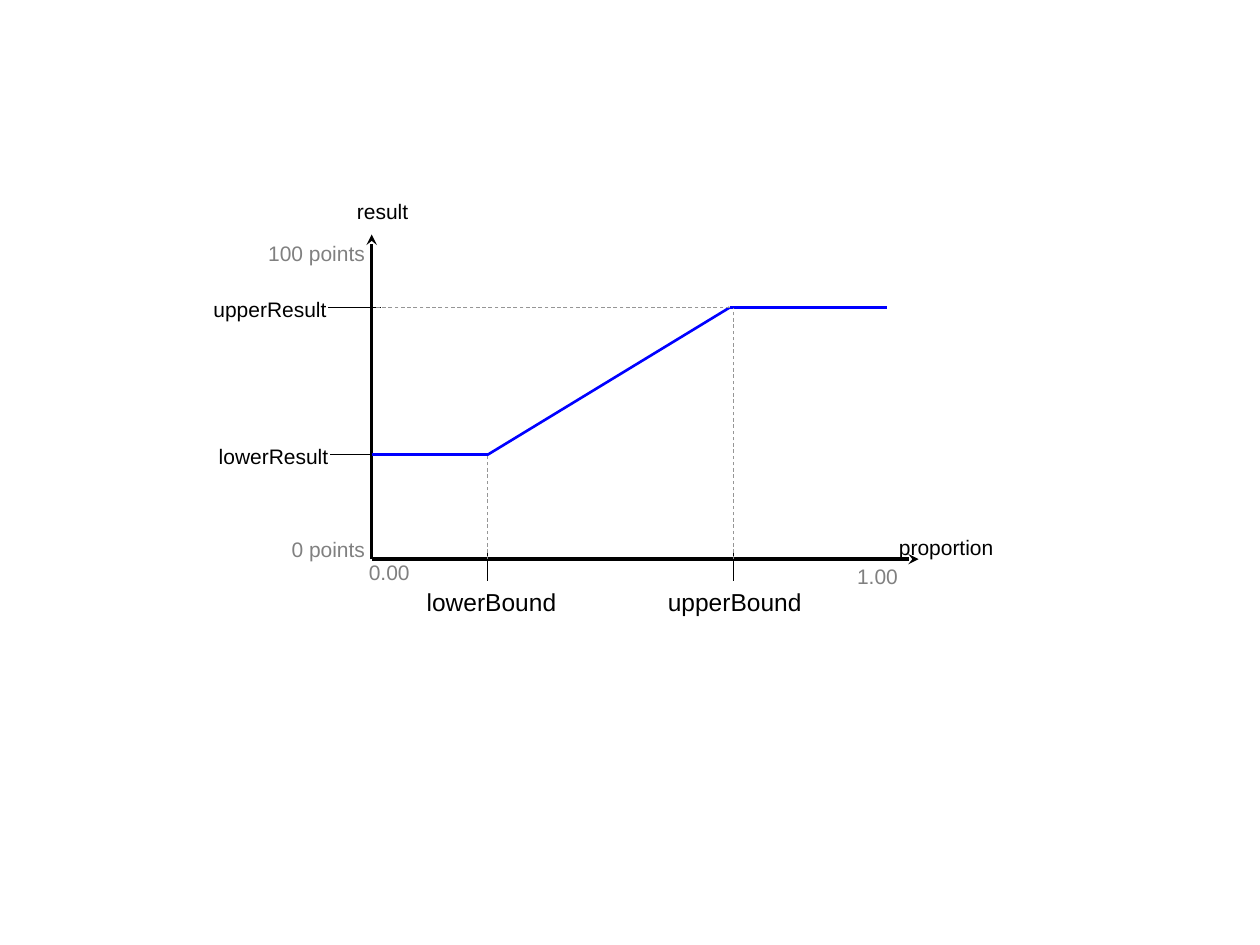
"""Build a slide plotting result against proportion between two bounds."""

from dataclasses import dataclass

from lxml.etree import SubElement
from pptx import Presentation
from pptx.dml.color import RGBColor
from pptx.enum.dml import MSO_LINE
from pptx.enum.shapes import MSO_CONNECTOR
from pptx.enum.text import MSO_AUTO_SIZE, PP_ALIGN
from pptx.oxml.ns import qn
from pptx.slide import Slide
from pptx.util import Pt

COLORS = {"ink": "000000", "scale": "808080", "guide": "969696", "curve": "0000FF"}

AXIS_X, AXIS_Y = 212.4, 319.5
AXIS_TOP, AXIS_RIGHT = 134, 525
LOWER_BOUND, UPPER_BOUND = 278.6, 419
LOWER_RESULT, UPPER_RESULT = 259.9, 175.8
RAMP_END, CURVE_END = 416.9, 507
TICK_TOP, TICK_BOTTOM = 314, 332
TICK_LENGTH = 30


@dataclass(frozen=True)
class Stroke:
    """Look of a line."""

    color: str
    width: float
    dashed: bool = False
    arrow: bool = False


@dataclass(frozen=True)
class Segment:
    """Straight line between two points."""

    start: tuple[float, float]
    end: tuple[float, float]
    stroke: Stroke


@dataclass(frozen=True)
class Label:
    """Right-aligned text in a box."""

    text: str
    left: float
    top: float
    width: float
    color: str = "ink"
    size: float = 12
    height: float = 21.8


AXIS = Stroke("ink", 2, arrow=True)
TICK = Stroke("ink", 0.75)
CURVE = Stroke("curve", 1.5)
GUIDE = Stroke("guide", 0.5, dashed=True)

ORIGIN = (AXIS_X, AXIS_Y)
RAMP_START = (LOWER_BOUND, LOWER_RESULT)
RAMP_TOP = (RAMP_END, UPPER_RESULT)

SEGMENTS = [
    Segment(ORIGIN, (AXIS_X, AXIS_TOP), AXIS),
    Segment(ORIGIN, (AXIS_RIGHT, AXIS_Y), AXIS),
    *(Segment((x, TICK_TOP), (x, TICK_BOTTOM), TICK) for x in (LOWER_BOUND, UPPER_BOUND)),
    *(
        Segment((right, y), (right - TICK_LENGTH, y), TICK)
        for right, y in ((218.7, LOWER_RESULT), (217.5, UPPER_RESULT))
    ),
    Segment((AXIS_X, LOWER_RESULT), RAMP_START, CURVE),
    Segment(RAMP_TOP, (CURVE_END, UPPER_RESULT), CURVE),
    Segment(RAMP_START, RAMP_TOP, CURVE),
    Segment((LOWER_BOUND, AXIS_Y), RAMP_START, GUIDE),
    Segment((UPPER_BOUND, AXIS_Y), (UPPER_BOUND, UPPER_RESULT), GUIDE),
    Segment(RAMP_TOP, (214.5, UPPER_RESULT), GUIDE),
]

LABELS = [
    Label("lowerBound", 236.6, TICK_BOTTOM, 88.4, size=14, height=24.2),
    Label("upperBound", 374.3, TICK_BOTTOM, 90.9, size=14, height=24.2),
    Label("lowerResult", 117.8, 249.9, 77),
    Label("upperResult", 114.5, 165.8, 79.3),
    Label("0.00", 203.5, 316.3, 37.7, "scale"),
    Label("1.00", 482.5, 318.3, 37.7, "scale"),
    Label("proportion", 506.6, 301.9, 68.2),
    Label("result", 196.8, 110, 43.6),
    Label("0 points", 159.5, 303, 56.2, "scale"),
    Label("100 points", 146, 134, 69.7, "scale"),
]


def draw_segment(page: Slide, segment: Segment) -> None:
    """Draw one line in its stroke."""
    ends = [Pt(value) for value in (*segment.start, *segment.end)]
    connector = page.shapes.add_connector(MSO_CONNECTOR.STRAIGHT, *ends)
    stroke = segment.stroke
    line = connector.line
    line.width = Pt(stroke.width)
    line.color.rgb = RGBColor.from_string(COLORS[stroke.color])
    if stroke.dashed:
        line.dash_style = MSO_LINE.DASH
    properties = connector._element.spPr
    if stroke.arrow:
        SubElement(properties.find(qn("a:ln")), qn("a:tailEnd"), type="stealth")
    SubElement(properties, qn("a:effectLst"))


def draw_label(page: Slide, label: Label) -> None:
    """Draw one line of text."""
    box = page.shapes.add_textbox(
        Pt(label.left), Pt(label.top), Pt(label.width), Pt(label.height)
    )
    frame = box.text_frame
    frame.word_wrap = False
    frame.auto_size = MSO_AUTO_SIZE.SHAPE_TO_FIT_TEXT
    para = frame.paragraphs[0]
    para.text = label.text
    para.alignment = PP_ALIGN.RIGHT
    para.font.name = "Arial"
    para.font.size = Pt(label.size)
    para.font.color.rgb = RGBColor.from_string(COLORS[label.color])


def main() -> None:
    """Build and save the deck."""
    deck = Presentation()
    deck.slide_width, deck.slide_height = Pt(720), Pt(540)
    page = deck.slides.add_slide(deck.slide_layouts[6])
    for segment in SEGMENTS:
        draw_segment(page, segment)
    for label in LABELS:
        draw_label(page, label)
    deck.save("out.pptx")


if __name__ == "__main__":
    main()
